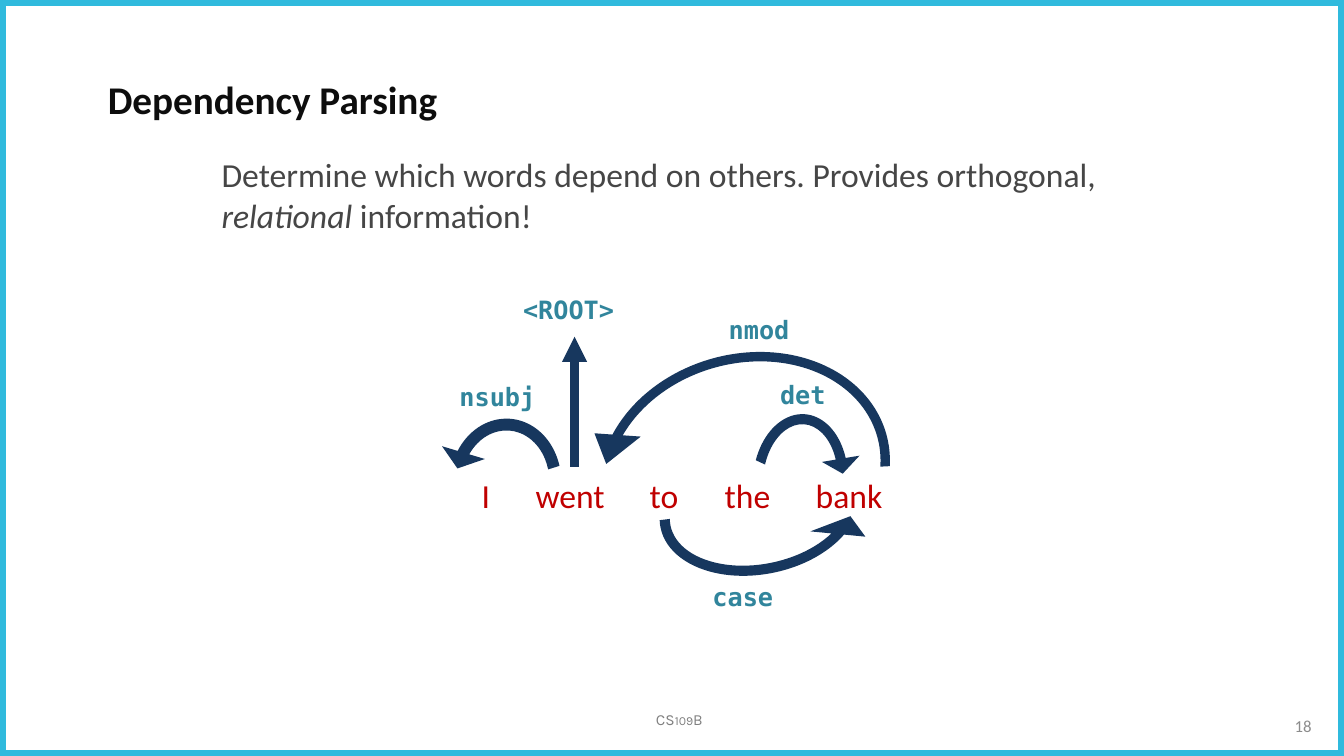
from lxml import etree
from pptx import Presentation
from pptx.dml.color import RGBColor
from pptx.enum.shapes import MSO_CONNECTOR, MSO_SHAPE
from pptx.enum.text import MSO_ANCHOR, MSO_AUTO_SIZE, PP_ALIGN
from pptx.oxml.ns import qn
from pptx.util import Pt

STRAIGHT = MSO_CONNECTOR.STRAIGHT
RECTANGLE, CIRCULAR_ARROW = MSO_SHAPE.RECTANGLE, MSO_SHAPE.CIRCULAR_ARROW
TOP, MIDDLE = MSO_ANCHOR.TOP, MSO_ANCHOR.MIDDLE
NO_AUTOSIZE = MSO_AUTO_SIZE.NONE
LEFT, CENTER, RIGHT = PP_ALIGN.LEFT, PP_ALIGN.CENTER, PP_ALIGN.RIGHT

NAVY = "17375E"
TITLE = {"name": "Calibri", "size": Pt(28), "bold": True, "color": "0D0D0D"}
BODY = {"name": "Calibri", "size": Pt(24), "color": "464646"}
WORD = {"name": "Calibri", "size": Pt(24), "color": "C00000"}
LABEL = {"name": "DejaVu Sans Mono", "size": Pt(18), "bold": True, "color": "31859C"}
FOOTER = {"name": "Karla", "size": Pt(11), "color": "808080"}
NUMBER = {"name": "Calibri", "size": Pt(12), "color": "8C8C8C"}

LABELS = [
    ("nsubj", 321.1, 268.6),
    ("nmod", 513.4, 221),
    ("det", 550.1, 267.1),
    ("case", 501.8, 411.8),
    ("<ROOT>", 366.5, 206.6),
]
SMALL_ARC = (0.082, 11.423, 196.766, 120.618, 0.155)
NMOD_ARC = (0.034, 7.784, 196.491, 100.494, 0.084)
CASE_ARC = (0.057, 7.985, 197.813, 105.44, 0.155)
ARCS = [
    ((309.6, 287.3, 103, 115.2), 3.6, "flipH", SMALL_ARC),
    ((527.8, 285.8, 87.8, 115.2), 3.6, None, SMALL_ARC),
    ((413.3, 239.8, 236.9, 197.3), 344.5, "flipH", NMOD_ARC),
    ((454.3, 298.8, 177.1, 127.4), 348.5, "flipV", CASE_ARC),
]


def rgb(color):
    return RGBColor.from_string(color)


def add_run(paragraph, text, style, **extra):
    run = paragraph.add_run()
    run.text = text
    for name, value in {**style, **extra}.items():
        if name == "color":
            run.font.color.rgb = rgb(value)
        else:
            setattr(run.font, name, value)
    return run


def add_text(slide, box, text, style, align=LEFT, anchor=TOP, wrap=True):
    shape = slide.shapes.add_textbox(*map(Pt, box))
    frame = shape.text_frame
    frame.word_wrap = wrap
    frame.vertical_anchor = anchor
    paragraph = frame.paragraphs[0]
    paragraph.alignment = align
    add_run(paragraph, text, style)
    return paragraph


def set_title(slide, text):
    title = slide.shapes.title
    box = {"left": 69.8, "top": 50.4, "width": 432, "height": 43.2}
    for name, value in box.items():
        setattr(title, name, Pt(value))
    frame = title.text_frame
    frame.auto_size = NO_AUTOSIZE
    frame.vertical_anchor = TOP
    frame.paragraphs[0].alignment = LEFT
    add_run(frame.paragraphs[0], text, TITLE)


def add_frame(slide):
    frame = slide.shapes.add_shape(RECTANGLE, 0, 0, Pt(960), Pt(540))
    frame.shadow.inherit = False
    frame.fill.background()
    frame.line.color.rgb = rgb("30BADD")
    frame.line.width = Pt(8)


def add_sentence(slide, words, tab_positions):
    paragraph = add_text(slide, (337, 335.5, 330, 36), "\t".join(words), WORD)
    properties = paragraph._p.get_or_add_pPr()
    tabs = etree.SubElement(properties, qn("a:tabLst"))
    for position in tab_positions:
        etree.SubElement(tabs, qn("a:tab"), pos=str(Pt(position)), algn="l")


def add_root_arrow(slide):
    arrow = slide.shapes.add_connector(
        STRAIGHT, Pt(410.4), Pt(333.4), Pt(410.4), Pt(240.5))
    arrow.line.color.rgb = rgb(NAVY)
    arrow.line.width = Pt(6)
    etree.SubElement(arrow.line._get_or_add_ln(), qn("a:tailEnd"), type="triangle")
    etree.SubElement(arrow._element.spPr, qn("a:effectLst"))


def add_arc(slide, box, rotation, flip, adjustments):
    arc = slide.shapes.add_shape(CIRCULAR_ARROW, *map(Pt, box))
    arc.shadow.inherit = False
    arc.rotation = rotation
    arc.fill.solid()
    arc.fill.fore_color.rgb = rgb(NAVY)
    arc.line.fill.background()
    for index, value in enumerate(adjustments):
        arc.adjustments[index] = value
    if flip:
        arc._element.spPr.xfrm.set(flip, "1")


def main():
    presentation = Presentation()
    presentation.slide_width = Pt(960)
    presentation.slide_height = Pt(540)
    slide = presentation.slides.add_slide(presentation.slide_layouts[5])

    add_frame(slide)
    set_title(slide, "Dependency Parsing")
    body = add_text(
        slide, (151.2, 106.6, 693.4, 44.6),
        "Determine which words depend on others. Provides orthogonal, ", BODY)
    add_run(body, "relational", BODY, italic=True)
    add_run(body, " information!", BODY)

    add_sentence(slide, ["I", "went", "to", "the", "bank"], [38.6, 120, 173.6, 238.6])
    add_root_arrow(slide)
    for arc in ARCS:
        add_arc(slide, *arc)
    for text, left, top in LABELS:
        add_text(slide, (left, top, 128.2, 46.8), text, LABEL)

    footer = add_text(
        slide, (459.4, 504, 51.8, 20.9), "CS109B", FOOTER, CENTER, wrap=False)
    footer.runs[0].font._element.set("cap", "small")
    add_text(slide, (720, 504, 223.9, 28.8), "18", NUMBER, RIGHT, MIDDLE)

    presentation.save("out.pptx")


if __name__ == "__main__":
    main()
